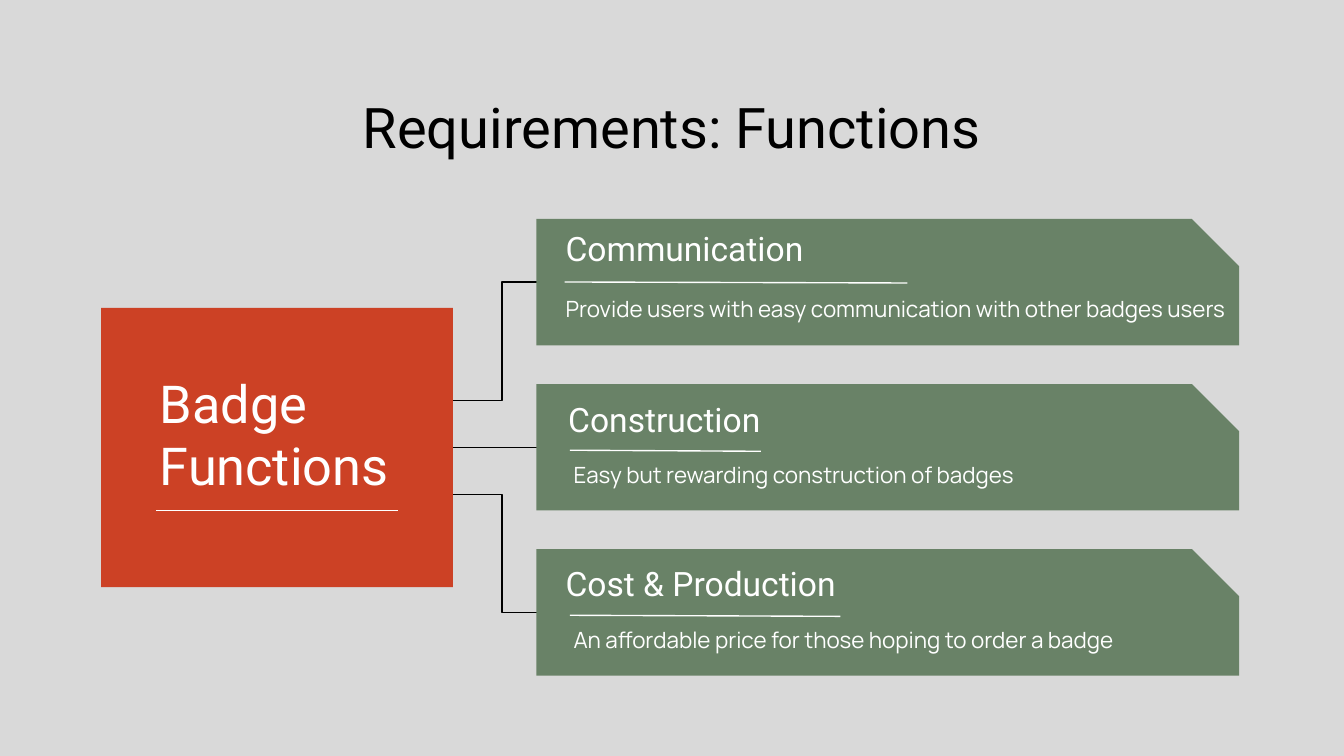
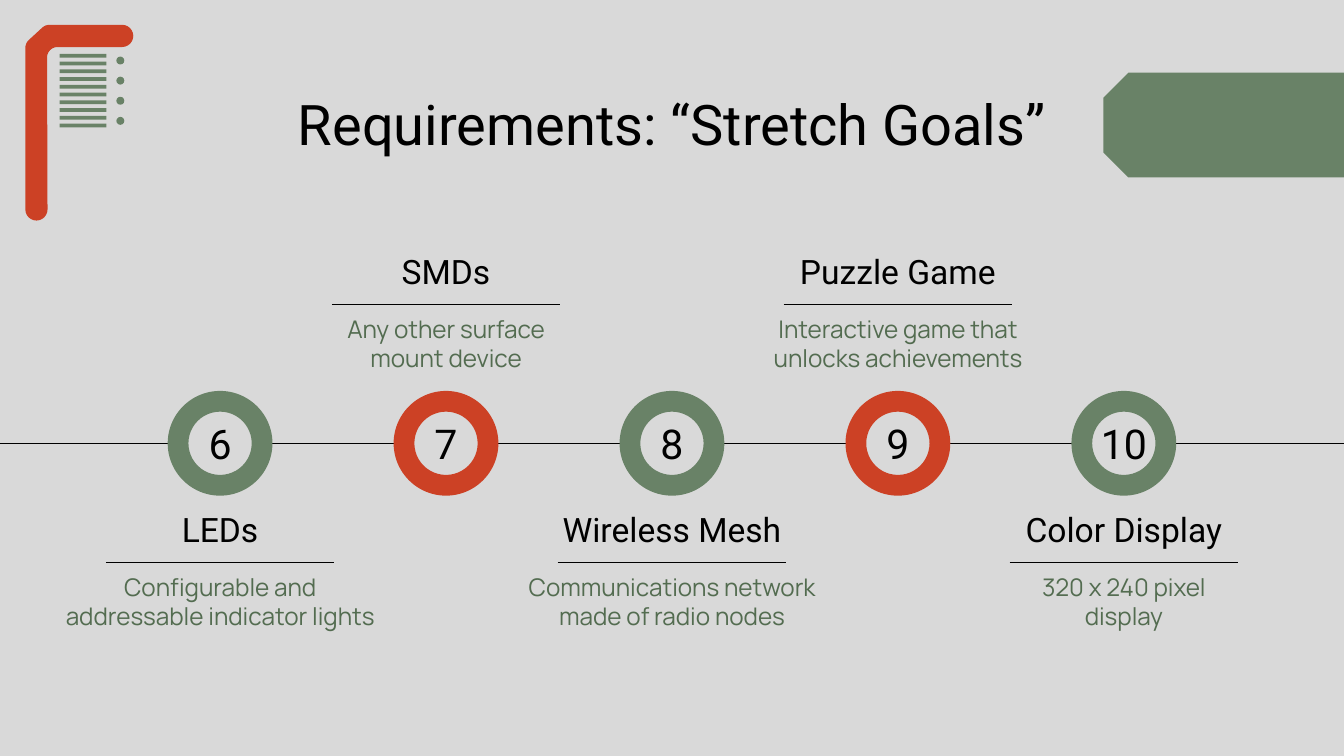
from math import cos, radians, sin

from lxml import etree
from pptx import Presentation
from pptx.dml.color import RGBColor
from pptx.enum.shapes import MSO_CONNECTOR, MSO_SHAPE
from pptx.enum.text import MSO_ANCHOR, PP_ALIGN
from pptx.oxml.ns import qn
from pptx.util import Cm, Pt

STRAIGHT, ELBOW = MSO_CONNECTOR.STRAIGHT, MSO_CONNECTOR.ELBOW
OVAL, DONUT, RECT = MSO_SHAPE.OVAL, MSO_SHAPE.DONUT, MSO_SHAPE.RECTANGLE
SNIP_ONE, SNIP_TWO = MSO_SHAPE.SNIP_1_RECTANGLE, MSO_SHAPE.SNIP_2_SAME_RECTANGLE
LEFT, CENTER = PP_ALIGN.LEFT, PP_ALIGN.CENTER
TOP, MIDDLE = MSO_ANCHOR.TOP, MSO_ANCHOR.MIDDLE

# Content
FUNCTIONS_TITLE = "Requirements: Functions"
PANEL_TEXT = "Badge Functions"
# heading, its left and top; body, its left, top and width; rule start, end and y
FUNCTIONS = [
    (("Communication", 10.44, 4.06),
     ("Provide users with easy communication with other badges users", 10.44, 5.33, 13.13),
     (10.67, 17.15, 5.33)),
    (("Construction", 10.49, 7.29),
     ("Easy but rewarding construction of badges", 10.59, 8.46, 12.07),
     (10.77, 14.38, 8.51)),
    (("Cost & Production", 10.44, 10.39),
     ("An affordable price for those hoping to order a badge", 10.59, 11.58, 12.07),
     (10.77, 15.88, 11.63)),
]

GOALS_TITLE = "Requirements: “Stretch Goals”"
FIRST_GOAL = 6
# heading, body, body width
GOALS = [
    ("LEDs", "Configurable and addressable indicator lights", 6.78),
    ("SMDs", "Any other surface mount device", 5.51),
    ("Wireless Mesh", "Communications network made of radio nodes", 6.12),
    ("Puzzle Game", "Interactive game that unlocks achievements", 5.74),
    ("Color Display", "320 x 240 pixel display", 4.93),
]

# Shared style
COLORS = {"bg": "D9D9D9", "green": "698267", "red": "CC4125",
          "text": "000000", "white": "FFFFFF", "body": "536C50"}
HEAD_FONT, BODY_FONT = "Roboto", "Manrope"
WIDTH, HEIGHT = 25.4, 14.29
INSET = 0.25

# Layout in centimetres
BAR = {"left": 10.14, "top": 4.14, "w": 13.28, "h": 2.39, "pitch": 3.12}
AXIS_Y, GOAL_PITCH, RING, HOLE = 8.38, 4.27, 1.98, 1.5
ROW_BELOW, ROW_ABOVE = 9.37, 4.5
# Rounded corners of the hook: centre x, centre y, radius, start and end angle
HOOK = [(2.31, 0.68, 0.21, -90, 90), (1.09, 1.09, 0.2, 270, 180),
        (0.69, 3.96, 0.21, 0, 180), (0.69, 0.91, 0.21, 180, 225),
        (0.94, 0.68, 0.21, 225, 270)]


def rgb(color):
    return RGBColor.from_string(COLORS[color])


def write(sp, text, size=18, font=HEAD_FONT, color="text", align=LEFT,
          anchor=TOP, wrap=True, after=0):
    tf = sp.text_frame
    tf.word_wrap = wrap
    tf.vertical_anchor = anchor
    tf.margin_left = tf.margin_right = tf.margin_top = tf.margin_bottom = Cm(INSET)
    p = tf.paragraphs[0]
    p.alignment = align
    p.space_after = Pt(after)
    r = p.add_run()
    r.text = text
    r.font.size = Pt(size)
    r.font.name = font
    r.font.color.rgb = rgb(color)


def add_text(slide, text, x, y, w, h, **style):
    write(slide.shapes.add_textbox(Cm(x), Cm(y), Cm(w), Cm(h)), text, **style)


def paint(sp, color):
    sp.shadow.inherit = False
    sp.fill.solid()
    sp.fill.fore_color.rgb = rgb(color)
    sp.line.fill.background()


def add_shape(slide, kind, x, y, w, h, color, adj=()):
    sp = slide.shapes.add_shape(kind, Cm(x), Cm(y), Cm(w), Cm(h))
    for i, value in enumerate(adj):
        sp.adjustments[i] = value
    paint(sp, color)
    return sp


def add_line(slide, x1, y1, x2, y2, color="text", kind=STRAIGHT, bend=None):
    line = slide.shapes.add_connector(kind, Cm(x1), Cm(y1), Cm(x2), Cm(y2))
    line.line.color.rgb = rgb(color)
    line.line.width = Pt(0.75)
    sp_pr = line._element.spPr
    etree.SubElement(sp_pr, qn("a:effectLst"))
    if bend is not None:
        guides = sp_pr.find(qn("a:prstGeom")).get_or_add_avLst()
        etree.SubElement(guides, qn("a:gd"), name="adj1", fmla=f"val {round(bend * 100000)}")


def new_slide(prs, title, title_top):
    slide = prs.slides.add_slide(prs.slide_layouts[6])
    slide.background.fill.solid()
    slide.background.fill.fore_color.rgb = rgb("bg")
    add_text(slide, title, 1.98, title_top, 21.44, 1.7, size=30, align=CENTER)
    return slide


def functions_slide(prs):
    slide = new_slide(prs, FUNCTIONS_TITLE, 1.5)

    # Connectors from the panel to the bars
    add_line(slide, 10.14, 8.46, 8.56, 8.46)
    for start_y, end_y in ((7.57, 5.33), (9.35, 11.58)):
        add_line(slide, 8.53, start_y, 10.77, end_y, kind=ELBOW, bend=0.427)

    # Bars with heading, rule and body
    for i, (heading, body, rule) in enumerate(FUNCTIONS):
        add_shape(slide, SNIP_ONE, BAR["left"], BAR["top"] + i * BAR["pitch"],
                  BAR["w"], BAR["h"], "green", [0.374])
        text, x, y = heading
        add_text(slide, text, x, y, 8.33, 1.27, color="white")
        text, x, y, w = body
        add_text(slide, text, x, y, w, 0.81, size=12, font=BODY_FONT,
                 color="white", after=16)
        x1, x2, y = rule
        add_line(slide, x1, y, x2, y + 0.02, "white")

    # Panel
    add_shape(slide, RECT, 1.91, 5.82, 6.65, 5.28, "red")
    add_text(slide, PANEL_TEXT, 2.77, 6.76, 4.93, 2.9, size=28, color="white")
    add_line(slide, 2.95, 9.65, 7.52, 9.65, "white")


def add_ornament(slide):
    points = []
    for cx, cy, radius, start, end in HOOK:
        for step in range(13):
            angle = radians(start + (end - start) * step / 12)
            points.append((Cm(cx + radius * cos(angle)), Cm(cy + radius * sin(angle))))
    hook = slide.shapes.build_freeform(*points[0])
    hook.add_line_segments(points[1:], close=True)
    paint(hook.convert_to_shape(), "red")
    for i in range(10):
        add_shape(slide, RECT, 1.13, 1.02 + i * 1.32 / 9, 0.88, 0.07, "green")
    for i in range(4):
        add_shape(slide, OVAL, 2.2, 1.07 + i * 0.38, 0.15, 0.15, "green")


def goals_slide(prs):
    slide = new_slide(prs, GOALS_TITLE, 1.45)
    tab = add_shape(slide, SNIP_TWO, 23.22, -0.99, 1.98, 6.71, "green", [0.238, 0])
    tab.rotation = 270
    add_ornament(slide)

    # Timeline: rings on the axis, labels alternately below and above
    add_line(slide, 0, AXIS_Y, WIDTH, AXIS_Y)
    for i, (heading, body, body_w) in enumerate(GOALS):
        cx = WIDTH / 2 + (i - (len(GOALS) - 1) / 2) * GOAL_PITCH
        above = i % 2 == 1
        add_shape(slide, OVAL, cx - HOLE / 2, AXIS_Y - HOLE / 2, HOLE, HOLE, "bg")
        ring = add_shape(slide, DONUT, cx - RING / 2, AXIS_Y - RING / 2, RING, RING,
                         "red" if above else "green", [0.198])
        write(ring, str(FIRST_GOAL + i), size=22, align=CENTER, anchor=MIDDLE, wrap=False)

        y = ROW_ABOVE if above else ROW_BELOW
        add_text(slide, heading, cx - 2.75, y, 5.5, 1.27, align=CENTER)
        add_line(slide, cx - 2.16, y + 1.26, cx + 2.16, y + 1.26)
        add_text(slide, body, cx - body_w / 2, y + 1.19, body_w, 1.68, size=13,
                 font=BODY_FONT, color="body", align=CENTER, after=16)


def main():
    prs = Presentation()
    prs.slide_width, prs.slide_height = Cm(WIDTH), Cm(HEIGHT)
    functions_slide(prs)
    goals_slide(prs)
    prs.save("out.pptx")


if __name__ == "__main__":
    main()
